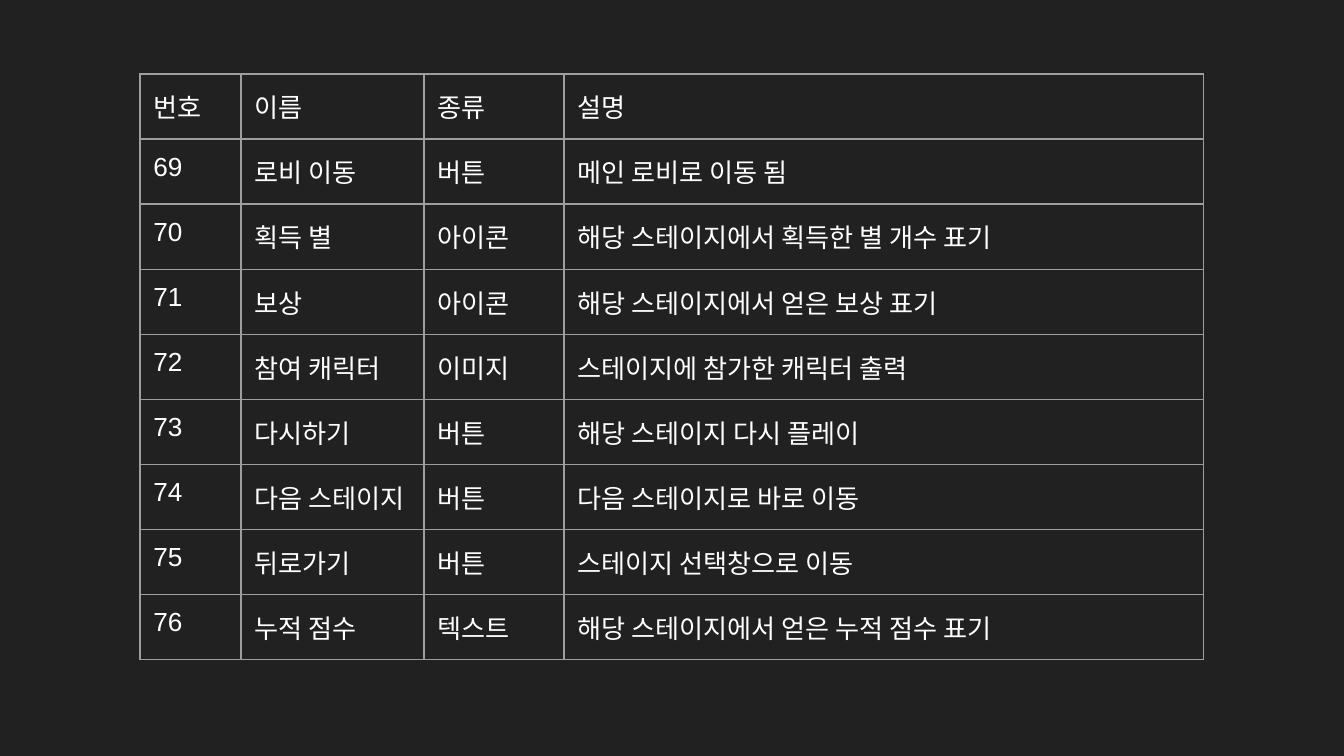
import pptx
import pptx.dml.color
import pptx.oxml
import pptx.oxml.ns
import pptx.util

PX = 914400 / 134.4
WHITE, GREY, DARK = "FFFFFF", "9E9E9E", "212121"
COLUMNS = [101, 183, 140, 640]
HEADER = ("번호", "이름", "종류", "설명")
FIRST_NUMBER = 69
ITEMS = [
    ("로비 이동", "버튼", "메인 로비로 이동 됨"),
    ("획득 별", "아이콘", "해당 스테이지에서 획득한 별 개수 표기"),
    ("보상", "아이콘", "해당 스테이지에서 얻은 보상 표기"),
    ("참여 캐릭터", "이미지", "스테이지에 참가한 캐릭터 출력"),
    ("다시하기", "버튼", "해당 스테이지 다시 플레이"),
    ("다음 스테이지", "버튼", "다음 스테이지로 바로 이동"),
    ("뒤로가기", "버튼", "스테이지 선택창으로 이동"),
    ("누적 점수", "텍스트", "해당 스테이지에서 얻은 누적 점수 표기"),
]


def px(n):
    return pptx.util.Emu(round(n * PX))


def rgb(value):
    return pptx.dml.color.RGBColor.from_string(value)


def write(tf, text, size=14, color=WHITE, font="Arial"):
    r = tf.paragraphs[0].add_run()
    r.text = text
    r.font.size = pptx.util.Pt(size)
    r.font.name = font
    r.font.color.rgb = rgb(color)


def add_borders(cell, color=GREY, width=0.75):
    """Draw all four sides; borders must come before the fill in tcPr."""
    tcPr = cell._tc.get_or_add_tcPr()
    for i, side in enumerate(("lnL", "lnR", "lnT", "lnB")):
        tcPr.insert(i, pptx.oxml.parse_xml(
            f'<a:{side} {pptx.oxml.ns.nsdecls("a")} w="{pptx.util.Pt(width)}">'
            f'<a:solidFill><a:srgbClr val="{color}"/></a:solidFill>'
            f'<a:prstDash val="solid"/></a:{side}>'))


def add_item_table(s, left, top, columns, row_height, rows):
    table = s.shapes.add_table(len(rows), len(columns), px(left), px(top),
                               px(sum(columns)), px(row_height * len(rows))).table
    table.first_row = table.horz_banding = False
    for column, width in zip(table.columns, columns):
        column.width = px(width)
    for row, texts in zip(table.rows, rows):
        row.height = px(row_height)
        for cell, text in zip(row.cells, texts):
            cell.margin_left = cell.margin_right = pptx.util.Inches(0.1)
            cell.margin_top = cell.margin_bottom = pptx.util.Inches(0.1)
            cell.fill.background()
            add_borders(cell)
            write(cell.text_frame, text)


def main():
    prs = pptx.Presentation()
    prs.slide_width, prs.slide_height = px(1344), px(756)
    s = prs.slides.add_slide(prs.slide_layouts[6])
    s.background.fill.solid()
    s.background.fill.fore_color.rgb = rgb(DARK)
    rows = [HEADER] + [(str(n), *item) for n, item in enumerate(ITEMS, FIRST_NUMBER)]
    add_item_table(s, 140, 74, COLUMNS, 56, rows)
    prs.save("out.pptx")


if __name__ == "__main__":
    main()
